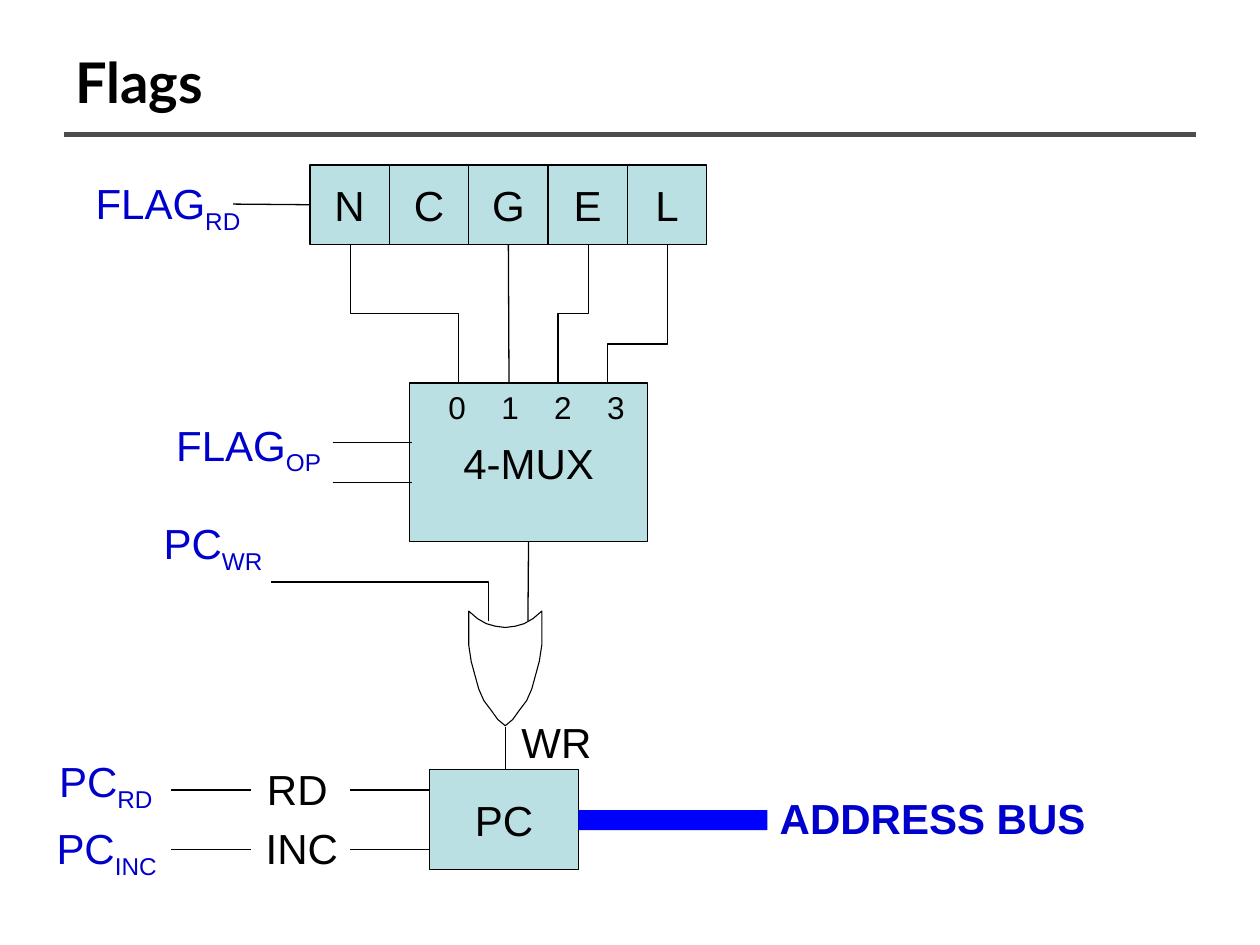
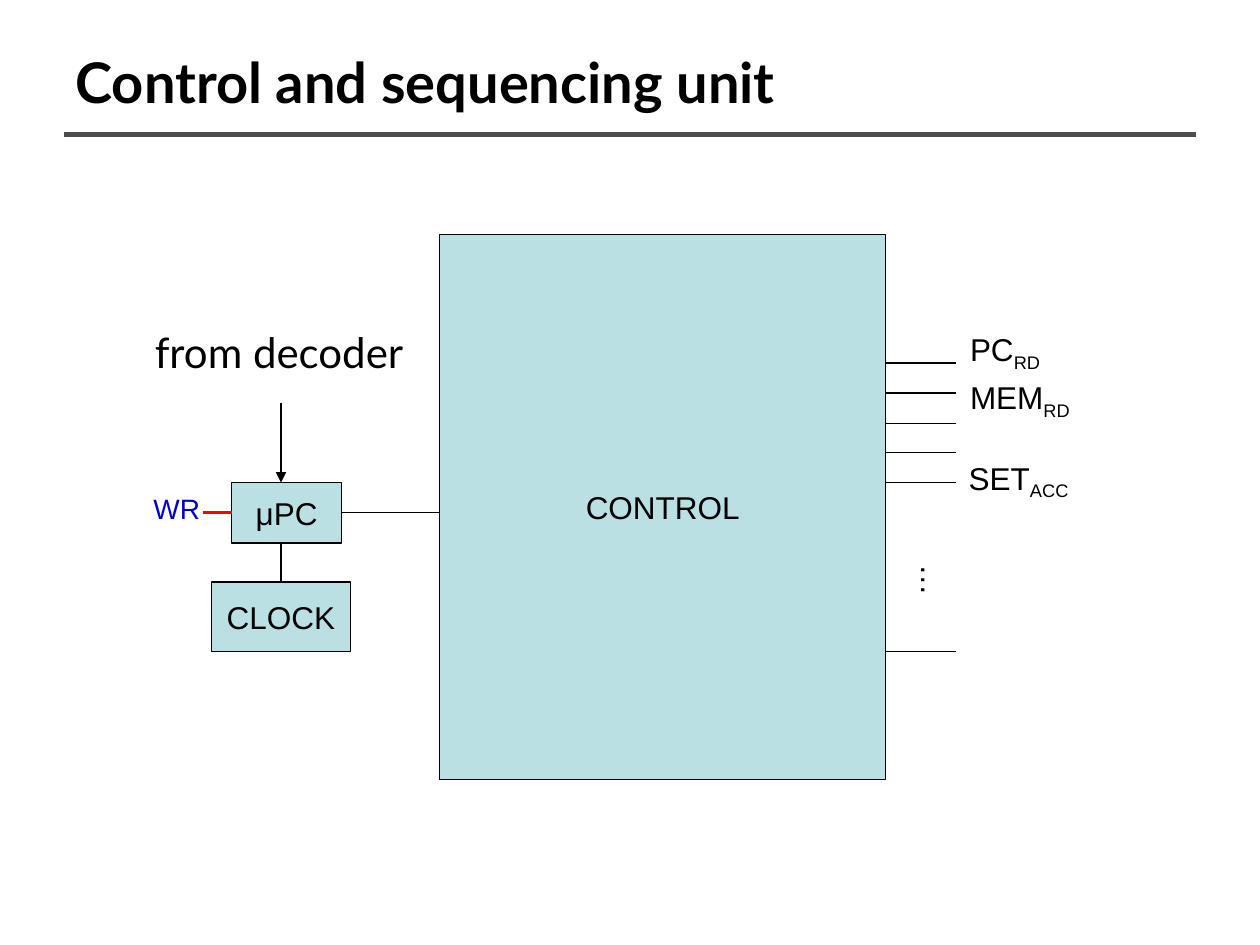
from lxml.etree import SubElement
from pptx import Presentation
from pptx.dml.color import RGBColor
from pptx.enum.shapes import MSO_CONNECTOR, MSO_SHAPE
from pptx.enum.text import MSO_ANCHOR, PP_ALIGN
from pptx.oxml.ns import qn
from pptx.util import Pt

PX = 9144  # 100 px to the inch
BLACK = RGBColor(0x00, 0x00, 0x00)
WHITE = RGBColor(0xFF, 0xFF, 0xFF)
GRAY = RGBColor(0x4D, 0x4D, 0x4D)
TEAL = RGBColor(0xBB, 0xE0, 0xE3)
SIGNAL_BLUE = RGBColor(0x00, 0x00, 0xCC)
BUS_BLUE = RGBColor(0x00, 0x00, 0xFF)
RED = RGBColor(0xFF, 0x00, 0x00)


def add_text(slide, text, x, y, w, h, size=24, color=BLACK, font="Arial", bold=False, boxed=False):
    """Add a label, or a bordered block if boxed; an underscore starts a subscript."""
    area = [v * PX for v in (x, y, w, h)]
    if boxed:
        shape = slide.shapes.add_shape(MSO_SHAPE.RECTANGLE, *area)
        shape.shadow.inherit = False
        shape.fill.solid()
        shape.fill.fore_color.rgb = TEAL
        shape.line.color.rgb = BLACK
        shape.line.width = Pt(0.75)
    else:
        shape = slide.shapes.add_textbox(*area)
    frame = shape.text_frame
    frame.word_wrap = False
    frame.vertical_anchor = MSO_ANCHOR.MIDDLE if boxed else MSO_ANCHOR.TOP
    paragraph = frame.paragraphs[0]
    paragraph.alignment = PP_ALIGN.CENTER if boxed else PP_ALIGN.LEFT
    for level, part in enumerate(text.split("_")):
        run = paragraph.add_run()
        run.text = part
        for attribute, value in {"name": font, "size": Pt(size), "bold": bold}.items():
            setattr(run.font, attribute, value)
        run.font.color.rgb = color
        if level:
            run.font._element.set("baseline", "-25000")
    return shape


def add_wire(slide, *points, color=BLACK, width=0.75, fill=None):
    """Join two points by a connector, more by an outline that closes if filled."""
    if len(points) == 2:
        ends = [v * PX for point in points for v in point]
        wire = slide.shapes.add_connector(MSO_CONNECTOR.STRAIGHT, *ends)
        SubElement(wire._element.spPr, qn("a:effectLst"))
    else:
        builder = slide.shapes.build_freeform(*points[0], scale=PX)
        builder.add_line_segments(points[1:], close=fill is not None)
        wire = builder.convert_to_shape()
        wire.shadow.inherit = False
        if fill is None:
            wire.fill.background()
        else:
            wire.fill.solid()
            wire.fill.fore_color.rgb = fill
    # The line element has to stand before the effect list
    wire.line.color.rgb = color
    wire.line.width = Pt(width)
    return wire


prs = Presentation()
prs.slide_width, prs.slide_height = 1000 * PX, 750 * PX

# Title and rule shared by all slides
slides = []
for title in ("Flags", "Control and sequencing unit"):
    slide = prs.slides.add_slide(prs.slide_layouts[6])
    add_wire(slide, (51, 107), (949, 107), color=GRAY, width=3)
    heading = add_text(slide, title, 50, 30, 900, 69, size=32, font="Lato", bold=True)
    heading.text_frame.vertical_anchor = MSO_ANCHOR.MIDDLE
    slides.append(slide)
flags, control = slides

# Flags: register, multiplexer and program counter
register = {flag: add_text(flags, flag, 246 + 63 * i, 131, 63, 63, boxed=True)
            for i, flag in enumerate("NCGEL")}
counter = add_text(flags, "PC", 341, 611, 118, 79, boxed=True)
mux = add_text(flags, "4-MUX", 325, 304, 189, 126, boxed=True)

g_wire = add_wire(flags, (404, 194), (404, 304))
g_wire.begin_connect(register["G"], 2)
for flag_x, bend_y, input_x in ((467, 249, 443), (530, 273, 482), (278, 249, 364)):
    add_wire(flags, (flag_x, 194), (flag_x, bend_y), (input_x, bend_y), (input_x, 304))

mux_inputs = add_text(flags, "0\t1\t2\t3", 346, 303, 165, 40, size=18)
mux_inputs.text_frame.word_wrap = True
tab_stops = SubElement(mux_inputs.text_frame.paragraphs[0]._p.get_or_add_pPr(), qn("a:tabLst"))
for i in (1, 2, 3):
    SubElement(tab_stops, qn("a:tab"), pos=str(42 * i * PX), algn="l")

mux_output = add_wire(flags, (419, 430), (419, 493))
mux_output.begin_connect(mux, 2)
flag_read = add_wire(flags, (185, 162), (246, 162))
flag_read.end_connect(register["N"], 1)
add_wire(flags, (401, 577), (401, 611))

# OR gate: one half of the outline, mirrored about its axis
GATE_X = 401
half_gate = [(0, 576), (6, 571), (11, 564), (17, 556), (21, 547), (24, 536), (27, 525),
             (29, 512), (29, 485), (22, 491), (15, 495), (8, 497), (0, 498)]
right_side = [(GATE_X + dx, y) for dx, y in half_gate]
left_side = [(GATE_X - dx, y) for dx, y in half_gate[-2:0:-1]]
add_wire(flags, *right_side, *left_side, width=0.63, fill=WHITE)
add_wire(flags, (388, 493), (388, 462), (215, 462))

for y in (627, 674):
    for x in (136, 278):
        add_wire(flags, (x, y), (x + 63, y))
for y in (351, 383):
    add_wire(flags, (264, y), (327, y))

address_bus = flags.shapes.add_shape(MSO_SHAPE.RECTANGLE, 459 * PX, 643 * PX, 150 * PX, 16 * PX)
address_bus.shadow.inherit = False
address_bus.fill.solid()
address_bus.fill.fore_color.rgb = BUS_BLUE
address_bus.line.fill.background()
add_text(flags, "ADDRESS BUS", 609, 624, 263, 50, color=SIGNAL_BLUE, bold=True)

for signal, x, y, w in (("FLAG_RD", 66, 136, 139), ("FLAG_OP", 130, 328, 139),
                        ("PC_WR", 120, 406, 103), ("PC_RD", 37, 595, 98),
                        ("PC_INC", 35, 648, 105)):
    add_text(flags, signal, x, y, w, 50, color=SIGNAL_BLUE)
for port, x, y, w in (("WR", 404, 564, 76), ("RD", 202, 601, 68), ("INC", 201, 648, 78)):
    add_text(flags, port, x, y, w, 50)

# Control unit with its micro program counter and clock
micro_pc = add_text(control, "μPC", 184, 383, 87, 48, size=18, boxed=True)
add_text(control, "CONTROL", 349, 186, 354, 433, size=18, boxed=True)
clock = add_text(control, "CLOCK", 168, 462, 110, 55, size=18, boxed=True)

address = add_wire(control, (271, 407), (349, 407))
address.begin_connect(micro_pc, 3)
tick = add_wire(control, (223, 430), (223, 462))
tick.end_connect(clock, 0)
decoded = add_wire(control, (223, 320), (223, 383))
SubElement(decoded.line._get_or_add_ln(), qn("a:tailEnd"), type="triangle")
write = add_wire(control, (161, 407), (184, 407), color=RED, width=1.5)
write.end_connect(micro_pc, 1)

for y in (288, 312, 336, 359, 383, 517):
    add_wire(control, (703, y), (759, y))
for signal, x, y, w in (("PC_RD", 760, 257, 79), ("MEM_RD", 760, 295, 118),
                        ("SET_ACC", 759, 359, 104)):
    add_text(control, signal, x, y, w, 40, size=18)
more_signals = add_text(control, "…", 711, 438, 50, 35, size=18)
more_signals.text_frame._txBody.bodyPr.set("vert", "eaVert")

add_text(control, "from decoder", 113, 254, 222, 50, font="Lato")
add_text(control, "WR", 112, 385, 57, 37, size=16, color=SIGNAL_BLUE)

prs.save("out.pptx")
